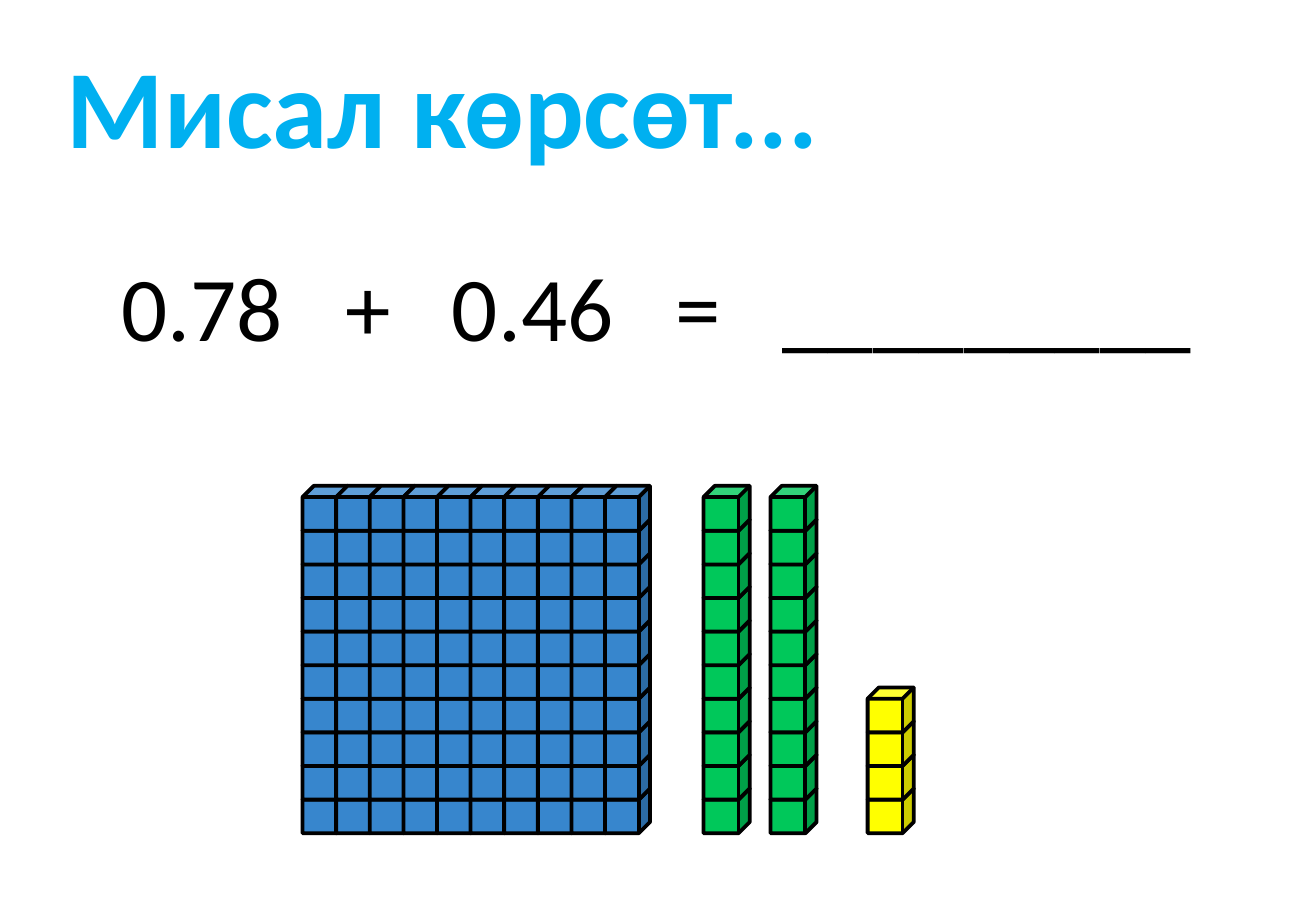
import pptx
import pptx.util
import pptx.dml.color
import pptx.enum.shapes
import pptx.enum.text
import lxml.etree
from dataclasses import dataclass

Inches = pptx.util.Inches

TITLE = "Мисал көрсөт..."
SUM = ["0.78", "+", "0.46", "=", "_________"]
STOPS = [1.84, 2.72, 4.56, 5.44]

# colour name, left edge, cube width, columns, rows
BLOCKS = [
    ("ones", 7.14, 0.38, 1, 4),
    ("flat", 2.49, 0.37, 10, 10),
    ("rod", 6.34, 0.38, 1, 10),
    ("rod", 5.79, 0.38, 1, 10),
]
FLOOR = 6.49          # top of the lowest cube
STEP = 2.49 / 9       # ten cubes span nine steps
CUBE = 0.37


@dataclass(frozen=True)
class Theme:
    font: str = "Calibri"
    title: str = "00B0F0"
    ink: str = "000000"
    ones: str = "FFFF00"
    flat: str = "3786CD"
    rod: str = "00C85A"
    big: int = 66
    body: int = 54
    line: float = 2.25


THEME = Theme()


def rgb(code):
    return pptx.dml.color.RGBColor.from_string(code)


def place(shape, left, top, width, height):
    shape.left, shape.top = Inches(left), Inches(top)
    shape.width, shape.height = Inches(width), Inches(height)


def write(shape, text, inset, size, color, bold=False, stops=()):
    """Fill a shape with one left-aligned line, with tab stops in inches."""
    frame = shape.text_frame
    frame.word_wrap = True
    frame.auto_size = pptx.enum.text.MSO_AUTO_SIZE.SHAPE_TO_FIT_TEXT
    frame.vertical_anchor = pptx.enum.text.MSO_ANCHOR.TOP
    frame.margin_left = Inches(inset)
    frame.text = text
    para = frame.paragraphs[0]
    para.alignment = pptx.enum.text.PP_ALIGN.LEFT
    if stops:
        props = para._p.get_or_add_pPr()
        tabs = lxml.etree.SubElement(props, pptx.oxml.ns.qn("a:tabLst"))
        for stop in stops:
            lxml.etree.SubElement(tabs, pptx.oxml.ns.qn("a:tab"),
                                  pos=str(Inches(stop)), algn="l")
    para.font.name = THEME.font
    para.font.size = pptx.util.Pt(size)
    para.font.bold = bold
    para.font.color.rgb = rgb(color)


def stack(slide, color, left, width, cols, rows):
    """Group a grid of cubes, built column by column from the floor up."""
    group = slide.shapes.add_group_shape()
    for col in range(cols):
        for row in range(rows):
            cube = group.shapes.add_shape(
                pptx.enum.shapes.MSO_SHAPE.CUBE,
                Inches(left + col * STEP), Inches(FLOOR - row * STEP),
                Inches(width), Inches(CUBE))
            cube.shadow.inherit = False
            cube.fill.solid()
            cube.fill.fore_color.rgb = rgb(color)
            cube.line.color.rgb = rgb(THEME.ink)
            cube.line.width = pptx.util.Pt(THEME.line)


def main():
    deck = pptx.Presentation()
    deck.slide_width, deck.slide_height = Inches(10.83), Inches(7.5)
    slide = deck.slides.add_slide(deck.slide_layouts[5])

    title = slide.shapes.title
    place(title, 0.24, 0.26, 7.54, 1.21)
    write(title, TITLE, 0.31, THEME.big, THEME.title, bold=True)

    box = slide.shapes.add_textbox(
        Inches(0.87), Inches(2.01), Inches(9.1), Inches(1.01))
    write(box, "\t".join(SUM), 0.13, THEME.body, THEME.ink, stops=STOPS)

    for name, left, width, cols, rows in BLOCKS:
        stack(slide, getattr(THEME, name), left, width, cols, rows)

    deck.save("out.pptx")


if __name__ == "__main__":
    main()
